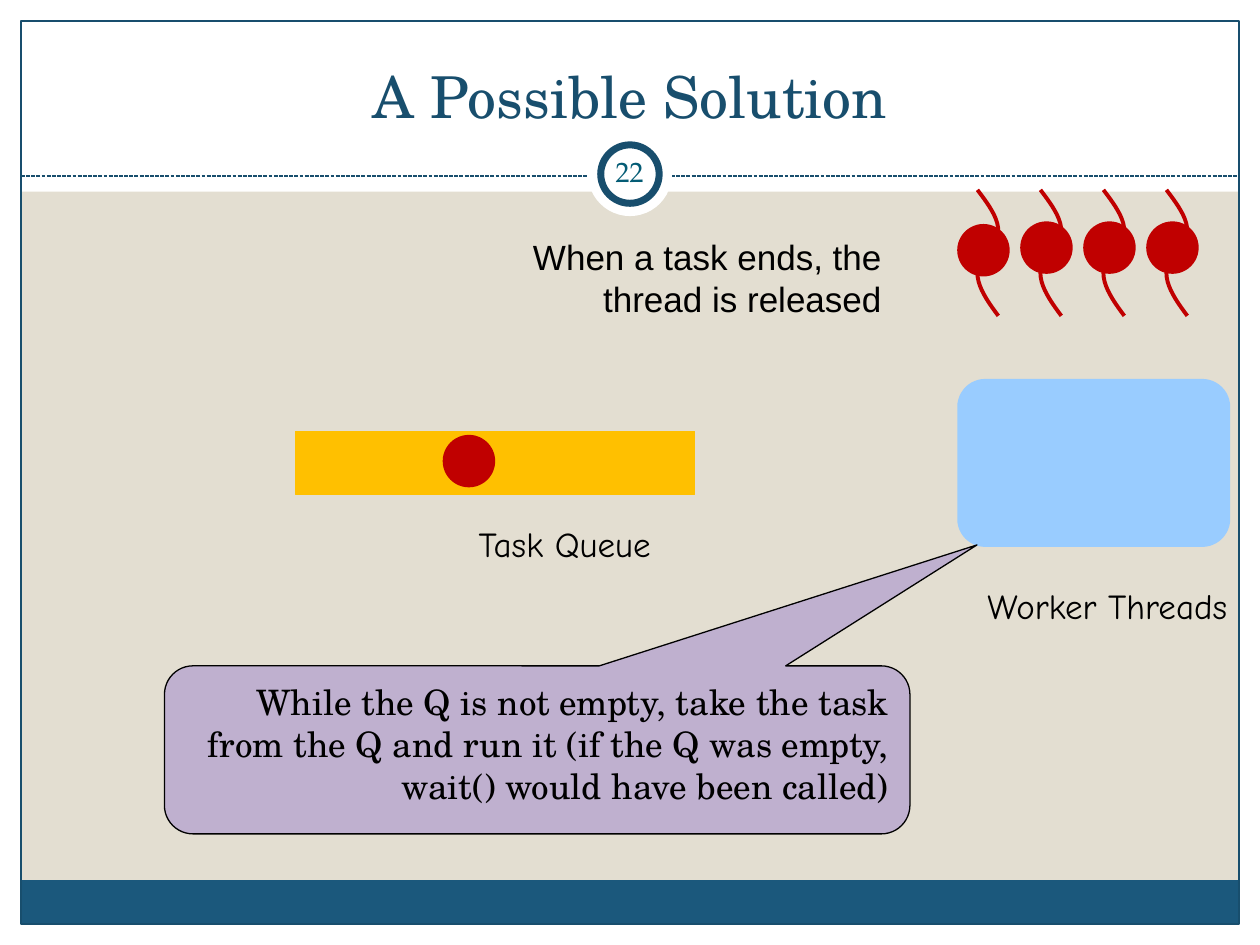
from lxml import etree
from pptx import Presentation
from pptx.dml.color import RGBColor
from pptx.enum.dml import MSO_LINE
from pptx.enum.shapes import MSO_CONNECTOR, MSO_SHAPE
from pptx.enum.text import MSO_ANCHOR, PP_ALIGN
from pptx.oxml.ns import qn
from pptx.util import Pt

RECT = MSO_SHAPE.RECTANGLE
OVAL = MSO_SHAPE.OVAL
ROUND = MSO_SHAPE.FLOWCHART_ALTERNATE_PROCESS
BUBBLE = MSO_SHAPE.ROUNDED_RECTANGULAR_CALLOUT
LINE = MSO_CONNECTOR.STRAIGHT
DASH = MSO_LINE.SQUARE_DOT
TOP, MID, BOTTOM = MSO_ANCHOR.TOP, MSO_ANCHOR.MIDDLE, MSO_ANCHOR.BOTTOM
LEFT, CENTER, RIGHT = PP_ALIGN.LEFT, PP_ALIGN.CENTER, PP_ALIGN.RIGHT

WHITE = RGBColor(0xFF, 0xFF, 0xFF)
BLACK = RGBColor(0, 0, 0)
SAND = RGBColor(0xE3, 0xDE, 0xD1)
NAVY = RGBColor(0x18, 0x4E, 0x6D)
BLUE = RGBColor(0x1B, 0x58, 0x7C)
TEAL = RGBColor(0x04, 0x5C, 0x75)
SKY = RGBColor(0x99, 0xCC, 0xFF)
GOLD = RGBColor(0xFF, 0xC0, 0x00)
RED = RGBColor(0xC0, 0, 0)
LILAC = RGBColor(0xBF, 0xB0, 0xCF)

SERIF = "TeX Gyre Schola"
BOOK = "TeX Gyre Pagella"
COMIC = "Comic Neue"
SANS = "Arial"
DOT = 30


def paint(shape, fill=None, line=None, width=0.75):
    shape.shadow.inherit = False
    if fill is None:
        shape.fill.background()
    else:
        shape.fill.solid()
        shape.fill.fore_color.rgb = fill
    if line is None:
        shape.line.fill.background()
    else:
        shape.line.color.rgb = line
        shape.line.width = Pt(width)


def block(slide, kind, x, y, w, h, fill=None, line=None, width=0.75):
    shape = slide.shapes.add_shape(kind, Pt(x), Pt(y), Pt(w), Pt(h))
    paint(shape, fill, line, width)
    return shape


def write(shape, text, font, size, color=BLACK, align=RIGHT, anchor=TOP):
    frame = shape.text_frame
    frame.word_wrap = True
    frame.vertical_anchor = anchor
    frame.text = text
    para = frame.paragraphs[0]
    para.alignment = align
    face = para.runs[0].font
    face.name, face.size = font, Pt(size)
    face.color.rgb = color
    return frame


def label(slide, x, y, w, h, *text):
    box = slide.shapes.add_textbox(Pt(x), Pt(y), Pt(w), Pt(h))
    return write(box, *text)


def border(slide, w, h):
    edge = 12
    block(slide, RECT, 0, h - edge, w, edge, WHITE)
    block(slide, RECT, 0, 0, w, 109.5, WHITE)
    for x in (0, w - edge):
        block(slide, RECT, x, 0, edge, h, WHITE)
    block(slide, RECT, edge, 503, w - 2 * edge, 25, BLUE)
    block(slide, RECT, edge, edge, w - 2 * edge, h - 2 * edge, None, NAVY)
    rule = slide.shapes.add_connector(LINE, Pt(edge), Pt(100.6), Pt(w - edge), Pt(100.6))
    rule.line.color.rgb = NAVY
    rule.line.width = Pt(0.75)
    rule.line.dash_style = DASH
    etree.SubElement(rule._element.spPr, qn("a:effectLst"))


def badge(slide, x, y, size, text):
    gap = 7.3
    block(slide, OVAL, x, y, size, size, WHITE)
    block(slide, OVAL, x + gap, y + gap, size - 2 * gap, size - 2 * gap, WHITE, NAVY, 4)
    frame = label(slide, x + 12.2, y + 5, 36, 34.5, text, BOOK, 16, TEAL, LEFT, MID)
    frame.margin_left = frame.margin_right = Pt(3.6)


def wave(x, y, w, h):
    curves = (
        ((0, 0), (0.5, 0.11), (1, 0.22), (1, 0.33)),
        ((1, 0.33), (1, 0.44), (0, 0.55), (0, 0.66)),
        ((0, 0.66), (0, 0.77), (0.5, 0.89), (1, 1)),
    )
    steps = 10
    for curve in curves:
        for i in range(steps + 1):
            t = i / steps
            mix = ((1 - t) ** 3, 3 * t * (1 - t) ** 2, 3 * t * t * (1 - t), t ** 3)
            px, py = (sum(m * p[k] for m, p in zip(mix, curve)) for k in (0, 1))
            yield Pt(x + w * px), Pt(y + h * py)


def thread(slide, x, y, w, h, drop):
    points = list(wave(x + 11.5, y, w, h))
    pen = slide.shapes.build_freeform(*points[0])
    pen.add_line_segments(points[1:], close=False)
    paint(pen.convert_to_shape(), None, RED, 2.25)
    block(slide, OVAL, x, y + drop, DOT, DOT, RED)


def pool(slide, x, y, w, h):
    block(slide, ROUND, x, y, w, h, SKY)
    label(slide, x - 24.5, y + 114, 186, 31, "Worker Threads", COMIC, 20)
    for i in range(4):
        thread(slide, x + 36 * i, y - 108, 12, 72, 18 if i else 19.5)


def queue(slide, x, y, w, h):
    block(slide, RECT, x, y, w, h, GOLD, GOLD)
    block(slide, OVAL, x + 84, y + 2, DOT, DOT, RED)
    label(slide, x + 18, y + 48.5, 192, 31, "Task Queue", COMIC, 20)


def callout(slide, x, y, w, h, text):
    shape = block(slide, BUBBLE, x, y, w, h, LILAC, BLACK)
    for i, value in enumerate((0.59, -1.22, 0.17)):
        shape.adjustments[i] = value
    write(shape, text, SERIF, 20)


def main():
    deck = Presentation()
    deck.slide_width, deck.slide_height = Pt(720), Pt(540)
    slide = deck.slides.add_slide(deck.slide_layouts[6])
    back = slide.background.fill
    back.solid()
    back.fore_color.rgb = SAND
    border(slide, 720, 540)
    label(slide, 24, 18, 672, 60, "A Possible Solution", SERIF, 33, NAVY, CENTER, BOTTOM)
    badge(slide, 336, 75.5, 48, "22")
    pool(slide, 547, 216.5, 156, 96)
    queue(slide, 169, 246.5, 228, 36)
    label(slide, 277, 131, 234, 55.5, "When a task ends, the thread is released", SANS, 20)
    callout(slide, 94, 380.5, 426, 96,
            "While the Q is not empty, take the task from the Q and run it "
            "(if the Q was empty, wait() would have been called)")
    deck.save("out.pptx")


main()
